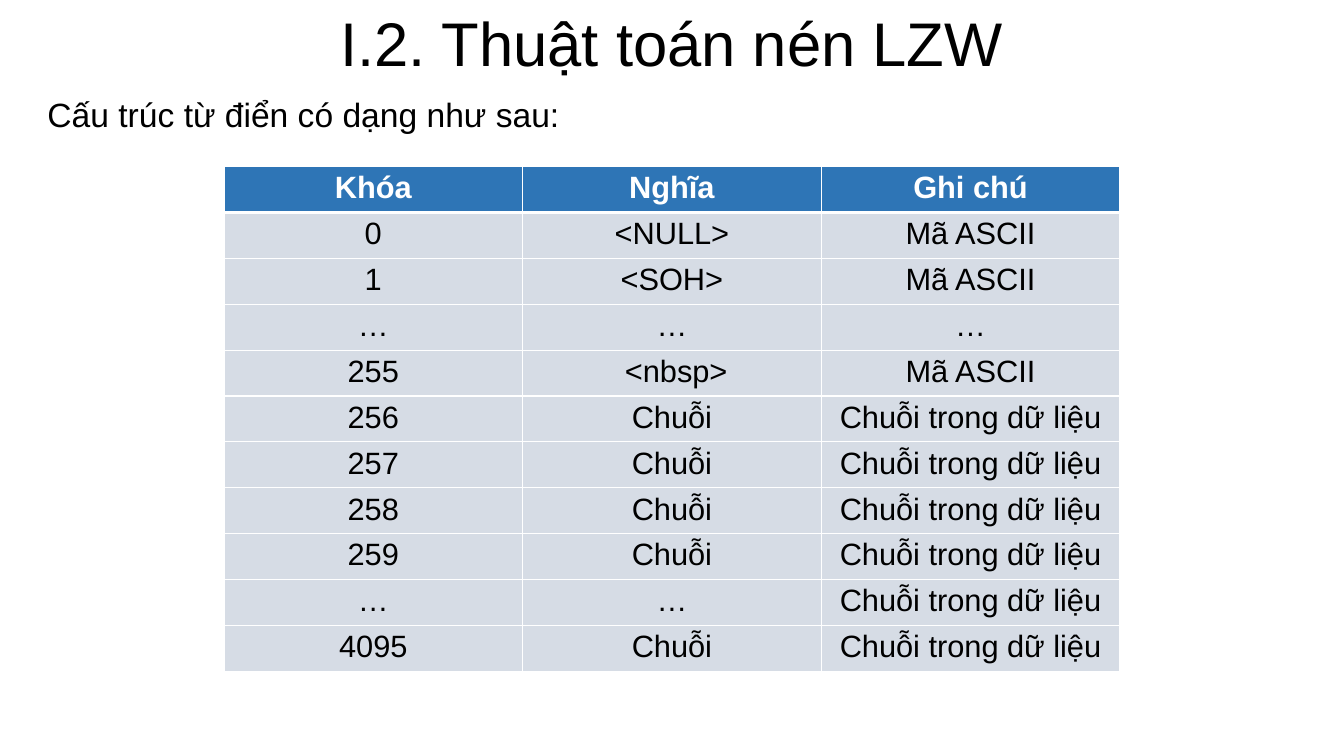
"""Build the slide on the LZW dictionary layout."""
import dataclasses

import lxml.etree
import pptx
import pptx.dml.color
import pptx.enum.text
import pptx.oxml.ns
import pptx.util

Pt = pptx.util.Pt
Align = pptx.enum.text.PP_ALIGN
Anchor = pptx.enum.text.MSO_ANCHOR


@dataclasses.dataclass(frozen=True)
class Theme:
    """Colours, font and type sizes of the slide."""
    font: str = "Arial"
    ink: str = "000000"
    white: str = "FFFFFF"
    head: str = "2E75B6"
    body: str = "D6DCE5"
    title: float = 44
    lead: float = 24
    cell: float = 22
    thin: float = 1
    thick: float = 3


THEME = Theme()
ASCII = "Mã ASCII"
WORD = "Chuỗi"
NOTE = "Chuỗi trong dữ liệu"
ROWS = [
    ("Khóa", "Nghĩa", "Ghi chú"),
    ("0", "<NULL>", ASCII),
    ("1", "<SOH>", ASCII),
    ("…", "…", "…"),
    ("255", "\u00a0<nbsp>".replace("\u00a0", " "), ASCII),
    *[(str(key), WORD, NOTE) for key in range(256, 260)],
    ("…", "…", NOTE),
    ("4095", WORD, NOTE),
]


def apply(target, **values):
    """Set each named value on the target."""
    for name, value in values.items():
        setattr(target, name, value)


def write(frame, text, size, color, align, bold=False, line=1.0):
    """Put one styled paragraph in a text frame."""
    para = frame.paragraphs[0]
    apply(para, alignment=align, line_spacing=line)
    run = para.add_run()
    run.text = text
    apply(run.font, name=THEME.font, size=Pt(size), bold=bold)
    run.font.color.rgb = pptx.dml.color.RGBColor.from_string(color)


def add_text(slide, box, text, size, align, anchor, left=7.2):
    """Add a wrapped text box."""
    frame = slide.shapes.add_textbox(*map(Pt, box)).text_frame
    apply(frame, word_wrap=True, vertical_anchor=anchor, margin_left=Pt(left))
    write(frame, text, size, THEME.ink, align, line=0.9)


def add_edge(cell, side, width):
    """Draw one white border of a cell."""
    tag = pptx.oxml.ns.qn
    props = cell._tc.get_or_add_tcPr()
    edge = lxml.etree.SubElement(props, tag(f"a:ln{side}"), w=str(Pt(width)))
    fill = lxml.etree.SubElement(edge, tag("a:solidFill"))
    lxml.etree.SubElement(fill, tag("a:srgbClr"), val=THEME.white)


def fill_cell(cell, text, row):
    """Style one cell as header or body."""
    head = row == 0
    apply(cell, margin_top=Pt(3.2), margin_bottom=Pt(3.2))
    heavy = {"B": head, "T": row == 1}
    for side in "LRTB":
        add_edge(cell, side, THEME.thick if heavy.get(side) else THEME.thin)
    cell.fill.solid()
    shade = THEME.head if head else THEME.body
    cell.fill.fore_color.rgb = pptx.dml.color.RGBColor.from_string(shade)
    color = THEME.white if head else THEME.ink
    write(cell.text_frame, text, THEME.cell, color, Align.CENTER, head)


def add_grid(slide, left, top, width, pitch, rows):
    """Add a table with equal columns and rows."""
    box = map(Pt, (left, top, width, pitch * len(rows)))
    table = slide.shapes.add_table(len(rows), len(rows[0]), *box).table
    table.horz_banding = False
    for row, texts in enumerate(rows):
        table.rows[row].height = Pt(pitch)
        for col, text in enumerate(texts):
            fill_cell(table.cell(row, col), text, row)


def main():
    """Build and save the slide."""
    deck = pptx.Presentation()
    apply(deck, slide_width=Pt(960), slide_height=Pt(540))
    slide = deck.slides.add_slide(deck.slide_layouts[6])
    add_text(slide, (0, 67, 960, 473), "Cấu trúc từ điển có dạng như sau:",
             THEME.lead, Align.LEFT, Anchor.TOP, left=33.9)
    add_text(slide, (0, 0, 960, 67), "I.2. Thuật toán nén LZW",
             THEME.title, Align.CENTER, Anchor.MIDDLE)
    add_grid(slide, 160, 119, 640, 31.8, ROWS)
    deck.save("out.pptx")


if __name__ == "__main__":
    main()
